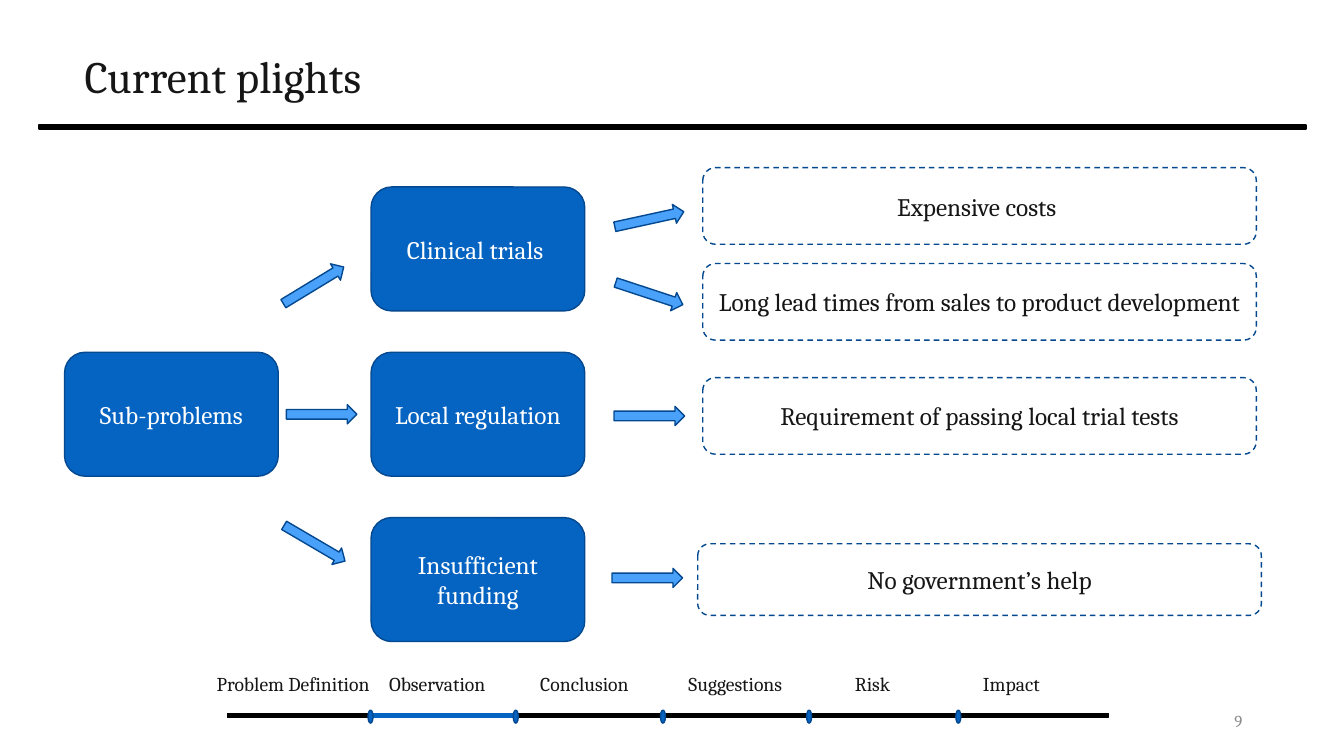
import pptx
import pptx.util
import pptx.dml.color
import pptx.enum.dml
import pptx.enum.shapes
import pptx.enum.text

Inches = pptx.util.Inches
Kind = pptx.enum.shapes.MSO_SHAPE
Align = pptx.enum.text.PP_ALIGN
INK, WHITE, GREY, BLACK = "171616", "FFFFFF", "8C8C8C", "000000"
BLUE, EDGE, SKY = "0563C1", "04498F", "49A1FA"

deck = pptx.Presentation()
deck.slide_width, deck.slide_height = Inches(13.33), Inches(7.5)
slide = deck.slides.add_slide(deck.slide_layouts[6])


def paint(target, color):
    target.rgb = pptx.dml.color.RGBColor.from_string(color)


def draw(kind, left, mid, wide, high, fill=None, edge=None,
         text="", size=18, color=INK, align=Align.CENTER, wrap=True):
    """Add a shape, or a text box if kind is None, centred on height mid."""
    place = [Inches(n) for n in (left, mid - high / 2, wide, high)]
    if kind is None:
        item = slide.shapes.add_textbox(*place)
    else:
        item = slide.shapes.add_shape(kind, *place)
        item.shadow.inherit = False
        if fill:
            item.fill.solid()
            paint(item.fill.fore_color, fill)
        else:
            item.fill.background()
        paint(item.line.color, edge)
        item.line.width = pptx.util.Pt(1)
    if text:
        frame = item.text_frame
        frame.word_wrap = wrap
        frame.vertical_anchor = pptx.enum.text.MSO_ANCHOR.MIDDLE
        frame.text = text
        para = frame.paragraphs[0]
        para.alignment = align
        font = para.runs[0].font
        font.name, font.size = "Cambria", pptx.util.Pt(size)
        paint(font.color, color)
    return item


# Title and rule
title = draw(None, 0.74, 0.78, 11.5, 1.45, text="Current plights", size=32,
             align=Align.LEFT)
title.text_frame.paragraphs[0].line_spacing = 0.9
draw(Kind.MATH_MINUS, -1.88, 1.26, 17.1, 0.18, BLACK, BLACK)

# Progress track with the current step in blue
TRACK = 7.1
draw(Kind.MATH_MINUS, 0.68, TRACK, 11.89, 0.18, BLACK, BLACK)
draw(Kind.MATH_MINUS, 3.44, TRACK, 1.93, 0.18, BLUE, BLUE)
for left in (3.65, 5.09, 6.55, 8, 9.48):
    draw(Kind.OVAL, left, TRACK + 0.01, 0.05, 0.13, BLUE, EDGE)
steps = [("Problem Definition", 2.05, 1.8), ("Observation", 3.76, 1.22),
         ("Conclusion", 5.26, 1.13), ("Suggestions", 6.73, 1.2),
         ("Risk", 8.38, 0.57), ("Impact", 9.65, 0.79)]
for text, left, wide in steps:
    draw(None, left, TRACK - 0.32, wide, 0.34, text=text, size=14,
         align=Align.LEFT, wrap=False)
draw(None, 9.42, TRACK + 0.05, 3, 0.4, text="9", size=12, color=GREY,
     align=Align.RIGHT)

# Grid of the diagram: row n is centred on TOP + n * PITCH
TOP, PITCH = 2.47, 1.64
ROOT, CAUSE, DETAIL = 0.64, 3.68, 6.97

# Blue boxes
boxes = [(ROOT, 1, "Sub-problems"), (CAUSE, 0, "Clinical trials "),
         (CAUSE, 1, "Local regulation"), (CAUSE, 2, "Insufficient funding")]
for left, row, text in boxes:
    draw(Kind.ROUNDED_RECTANGLE, left, TOP + row * PITCH, 2.12, 1.23,
         BLUE, EDGE, text, color=WHITE)

# Dashed boxes
details = [(-0.26, 0, 0.76, "Expensive costs "),
           (0.32, 0, 0.76, "Long lead times from sales to product development"),
           (1.01, 0, 0.76, "Requirement of passing local trial tests"),
           (2, 0.05, 0.71, "No government’s help")]
for row, grow, high, text in details:
    item = draw(Kind.ROUNDED_RECTANGLE, DETAIL - grow, TOP + row * PITCH,
                5.49 + 2 * grow, high, None, EDGE, text)
    item.line.dash_style = pptx.enum.dml.MSO_LINE.DASH

# Arrows: left, row, turn
arrows = [(2.76, 0.22, 328.7), (2.84, 1, 0), (2.77, 1.78, 30.4),
          (6.09, -0.18, 347.7), (6.09, 0.27, 18.2), (6.09, 1.01, 0),
          (6.07, 1.99, 0)]
for left, row, turn in arrows:
    item = draw(Kind.RIGHT_ARROW, left, TOP + row * PITCH, 0.7, 0.19, SKY, EDGE)
    item.rotation = turn

deck.save("out.pptx")
